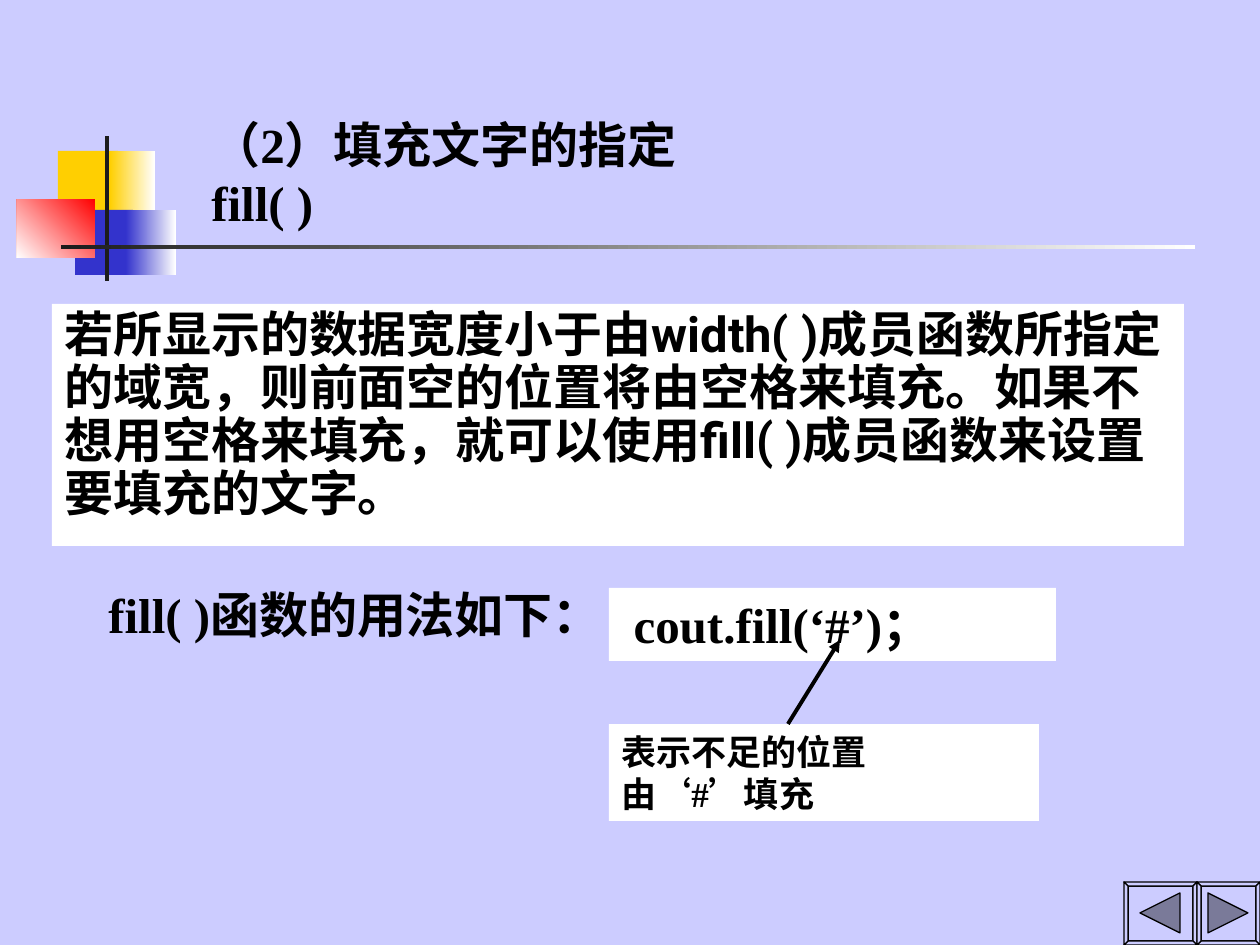
from dataclasses import dataclass
from typing import NamedTuple, Optional

from lxml.etree import SubElement
from pptx import Presentation
from pptx.dml.color import RGBColor
from pptx.enum.shapes import MSO_CONNECTOR, MSO_SHAPE
from pptx.enum.text import MSO_ANCHOR as ANCHOR, PP_ALIGN as ALIGN
from pptx.oxml.ns import qn
from pptx.util import Emu, Pt

PX = 914400 // 126
LAVENDER = RGBColor(0xCC, 0xCC, 0xFF)
YELLOW = RGBColor(0xFF, 0xCF, 0x01)
BLUE = RGBColor(0x33, 0x33, 0xCC)
RED = RGBColor(0xFF, 0x00, 0x00)
DARK = RGBColor(0x1C, 0x1C, 0x1C)
WHITE = RGBColor(0xFF, 0xFF, 0xFF)
BLACK = RGBColor(0x00, 0x00, 0x00)
SLATE = RGBColor(0x7A, 0x7A, 0x99)
CJK = "Noto Sans CJK SC"
TIMES = "Times New Roman"
ROBOTO = "Roboto"


class Box(NamedTuple):
    x: int
    y: int
    w: int
    h: int


class Run(NamedTuple):
    text: str
    font: str = TIMES


@dataclass
class Block:
    box: Box
    color: RGBColor
    fade: Optional[RGBColor] = None
    angle: int = 0


@dataclass
class Note:
    box: Box
    lines: list[list[Run]]
    size: int = 28
    filled: bool = True
    wrap: bool = True
    anchor: ANCHOR = ANCHOR.TOP
    before: float = 0
    spacing: float = 1.0


BLOCKS = [
    Block(Box(58, 151, 60, 65), YELLOW),
    Block(Box(110, 151, 45, 65), YELLOW, WHITE),
    Block(Box(75, 210, 58, 65), BLUE),
    Block(Box(126, 210, 50, 65), BLUE, WHITE),
    Block(Box(17, 199, 78, 59), RED, WHITE, 225),
    Block(Box(105, 136, 4, 145), DARK),
    Block(Box(61, 245, 1134, 4), DARK, WHITE),
]

NOTES = [
    Note(Box(199, 147, 620, 91),
         [[Run("（", CJK), Run("2"), Run("）填充文字的指定", CJK)], [Run("fill( )")]],
         filled=False, anchor=ANCHOR.BOTTOM),
    Note(Box(52, 304, 1132, 242),
         [[Run("若所显示的数据宽度小于由", CJK), Run("width( )", ROBOTO),
           Run("成员函数所指定的域宽，则前面空的位置将由空格来填充。"
               "如果不想用空格来填充，就可以使用", CJK),
           Run("fill( )", ROBOTO), Run("成员函数来设置要填充的文字。", CJK)]],
         before=7, spacing=0.9),
    Note(Box(609, 588, 447, 73), [[Run(" cout.fill(‘#’)；")]], before=7),
    Note(Box(96, 578, 530, 72), [[Run("fill( )函数的用法如下：")]],
         filled=False, wrap=False),
    Note(Box(609, 724, 430, 97), [[Run("表示不足的位置")], [Run("由‘#’填充")]],
         size=20, before=12.5),
]


def emu(box: Box) -> list[Emu]:
    return [Emu(v * PX) for v in box]


def add_block(shapes, block: Block) -> None:
    sp = shapes.add_shape(MSO_SHAPE.RECTANGLE, *emu(block.box))
    sp.shadow.inherit = False
    sp.line.fill.background()
    if block.fade is None:
        sp.fill.solid()
        sp.fill.fore_color.rgb = block.color
        return
    sp.fill.gradient()
    sp.fill.gradient_angle = block.angle
    for stop, color in zip(sp.fill.gradient_stops, (block.color, block.fade)):
        stop.color.rgb = color


def add_note(shapes, note: Note) -> None:
    sp = shapes.add_textbox(*emu(note.box))
    if note.filled:
        sp.fill.solid()
        sp.fill.fore_color.rgb = WHITE
    tf = sp.text_frame
    tf.word_wrap = note.wrap
    tf.vertical_anchor = note.anchor
    p = tf.paragraphs[0]
    layout = {"alignment": ALIGN.LEFT, "space_before": Pt(note.before),
              "line_spacing": note.spacing}
    for name, value in layout.items():
        setattr(p, name, value)
    for i, line in enumerate(note.lines):
        if i:
            p.add_line_break()
        for run in line:
            r = p.add_run()
            r.text = run.text
            for name, value in {"size": Pt(note.size), "bold": True, "name": run.font}.items():
                setattr(r.font, name, value)
            r.font.color.rgb = BLACK
            SubElement(r.font._element, qn("a:ea")).set("typeface", CJK)


def add_polygon(shapes, points: list[tuple[int, int]], color: RGBColor) -> None:
    builder = shapes.build_freeform(*points[0], scale=PX)
    builder.add_line_segments(points[1:], close=True)
    sp = builder.convert_to_shape()
    sp.shadow.inherit = False
    sp.fill.solid()
    sp.fill.fore_color.rgb = color
    sp.line.color.rgb = BLACK
    sp.line.width = Pt(0.74)


def add_button(shapes, box: Box, direction: int) -> None:
    bevel, half = 4, 20
    x, y, w, h = box
    outer = [(x, y), (x + w, y), (x + w, y + h), (x, y + h)]
    inner = [(x + bevel, y + bevel), (x + w - bevel, y + bevel),
             (x + w - bevel, y + h - bevel), (x + bevel, y + h - bevel)]
    add_polygon(shapes, inner, LAVENDER)
    for i in range(4):
        j = (i + 1) % 4
        add_polygon(shapes, [outer[i], outer[j], inner[j], inner[i]], LAVENDER)
    cx, cy = x + w // 2, y + h // 2
    base = cx - direction * half
    add_polygon(shapes, [(cx + direction * half, cy), (base, cy - half), (base, cy + half)], SLATE)


def add_arrow(shapes, start: tuple[int, int], end: tuple[int, int]) -> None:
    ends = [Emu(v * PX) for v in start + end]
    sp = shapes.add_connector(MSO_CONNECTOR.STRAIGHT, *ends)
    sp.line.color.rgb = BLACK
    sp.line.width = Pt(2.24)
    SubElement(sp.line._get_or_add_ln(), qn("a:tailEnd")).set("type", "triangle")
    SubElement(sp._element.spPr, qn("a:effectLst"))


def main() -> None:
    prs = Presentation()
    prs.slide_width, prs.slide_height = Emu(1260 * PX), Emu(945 * PX)
    s = prs.slides.add_slide(prs.slide_layouts[6])
    s.background.fill.solid()
    s.background.fill.fore_color.rgb = LAVENDER
    for block in BLOCKS:
        add_block(s.shapes, block)
    for note in NOTES:
        add_note(s.shapes, note)
    add_arrow(s.shapes, (788, 724), (840, 640))
    add_button(s.shapes, Box(1124, 882, 73, 63), -1)
    add_button(s.shapes, Box(1197, 882, 63, 63), 1)
    prs.save("out.pptx")


main()
